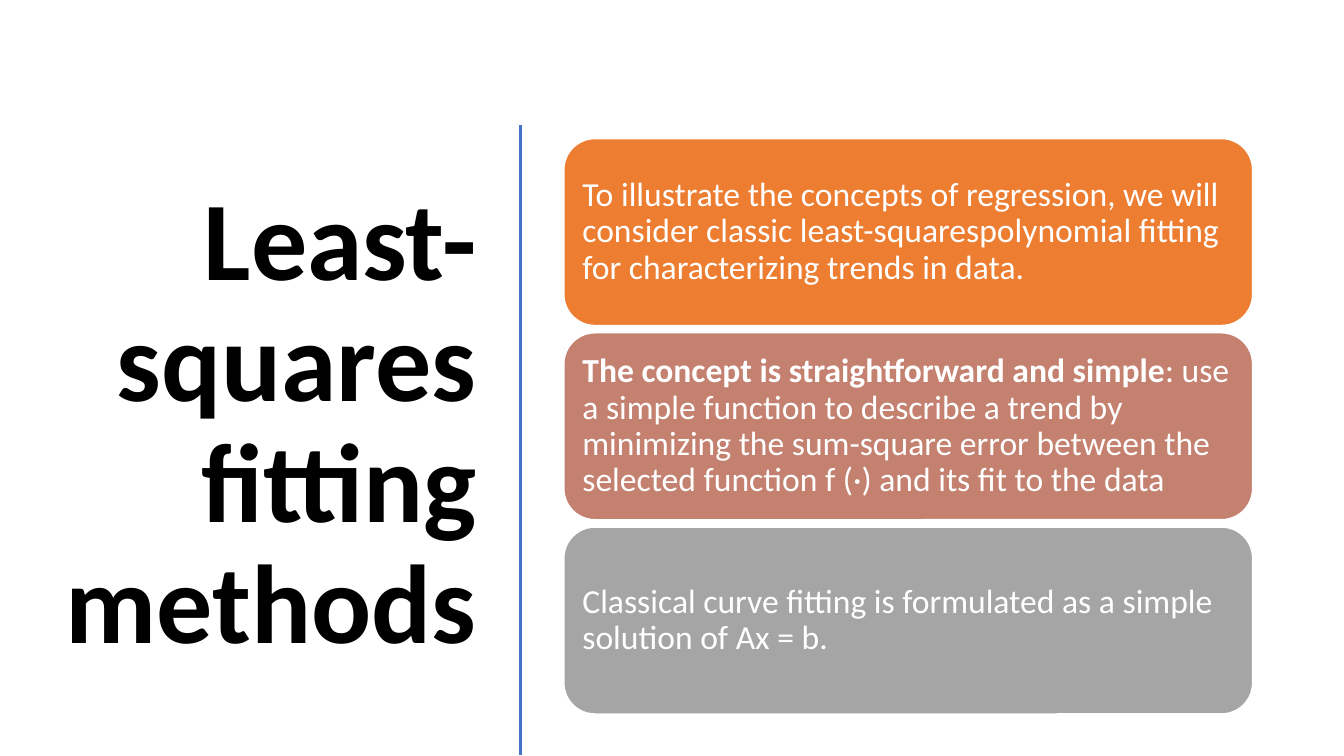
import pptx
import pptx.dml.color
import pptx.enum.shapes
import pptx.enum.text
import pptx.oxml.ns
import pptx.util
from dataclasses import dataclass
from lxml import etree

PX = 9525


@dataclass(frozen=True)
class Theme:
    """Colours, font and type sizes of the slide."""
    font: str = "Calibri"
    title_size: int = 80
    card_size: int = 24
    ink: str = "000000"
    paper: str = "FFFFFF"
    divider: str = "4472C4"
    cards: tuple = ("ED7D31", "C48170", "A5A5A5")


THEME = Theme()

STATEMENTS = (
    ("", "To illustrate the concepts of regression, we will consider classic "
         "least-squarespolynomial fitting for characterizing trends in data."),
    ("The concept is straightforward and simple",
     ": use a simple function to describe a trend by minimizing the sum-square error "
     "between the selected function f (·) and its fit to the data"),
    ("", "Classical curve fitting is formulated as a simple solution of Ax = b."),
)


def px(length):
    """Turn whole pixels into EMU."""
    return pptx.util.Emu(length * PX)


def rgb(code):
    """Turn a hex code into a colour."""
    return pptx.dml.color.RGBColor.from_string(code)


def write(frame, text, lead="", size=THEME.card_size, color=THEME.paper, bold=False,
          align=pptx.enum.text.PP_ALIGN.LEFT, inset=10, after=0):
    """Fill a text frame with one paragraph, opened by an optional bold lead."""
    frame.word_wrap = True
    frame.auto_size = pptx.enum.text.MSO_AUTO_SIZE.NONE
    frame.vertical_anchor = pptx.enum.text.MSO_ANCHOR.MIDDLE
    frame.margin_left = frame.margin_right = px(inset)
    frame.margin_top = frame.margin_bottom = px(inset)
    paragraph = frame.paragraphs[0]
    paragraph.alignment = align
    paragraph.line_spacing = 0.9
    paragraph.space_after = pptx.util.Pt(after)
    for words, strong in ((lead, True), (text, bold)):
        if words:
            run = paragraph.add_run()
            run.text = words
            run.font.name = THEME.font
            run.font.size = pptx.util.Pt(size)
            run.font.bold = strong
            run.font.color.rgb = rgb(color)


def place_heading(slide, left, top, width, height):
    """Place the right-aligned title in its box."""
    heading = slide.shapes.title
    heading.left, heading.top = px(left), px(top)
    heading.width, heading.height = px(width), px(height)
    write(heading.text_frame, "Least-squares fitting methods", size=THEME.title_size,
          color=THEME.ink, bold=True, align=pptx.enum.text.PP_ALIGN.RIGHT, after=6)


def place_divider(slide, left, top, height):
    """Draw the vertical rule between title and statements."""
    divider = slide.shapes.add_connector(
        pptx.enum.shapes.MSO_CONNECTOR.STRAIGHT,
        px(left), px(top), px(left), px(top + height))
    divider.line.color.rgb = rgb(THEME.divider)
    divider.line.width = pptx.util.Pt(2)
    etree.SubElement(divider.element.spPr, pptx.oxml.ns.qn("a:effectLst"))


def place_statements(slide, left, top, width, height, gap=7):
    """Stack one rounded card per statement down the box."""
    card_height = (height - gap * (len(STATEMENTS) - 1)) // len(STATEMENTS)
    for row, (lead, text) in enumerate(STATEMENTS):
        card = slide.shapes.add_shape(
            pptx.enum.shapes.MSO_SHAPE.ROUNDED_RECTANGLE,
            px(left), px(top + row * (card_height + gap)), px(width), px(card_height))
        card.shadow.inherit = False
        card.fill.solid()
        card.fill.fore_color.rgb = rgb(THEME.cards[row])
        card.line.color.rgb = rgb(THEME.paper)
        card.line.width = pptx.util.Pt(1)
        write(card.text_frame, text, lead=lead, inset=9)


def main():
    """Build and save the slide."""
    deck = pptx.Presentation()
    deck.slide_width, deck.slide_height = px(1280), px(720)
    slide = deck.slides.add_slide(deck.slide_layouts.get_by_name("Title Only"))
    place_heading(slide, 50, 112, 414, 587)
    place_divider(slide, 496, 119, 600)
    place_statements(slide, 537, 132, 656, 548)
    deck.save("out.pptx")


if __name__ == "__main__":
    main()
